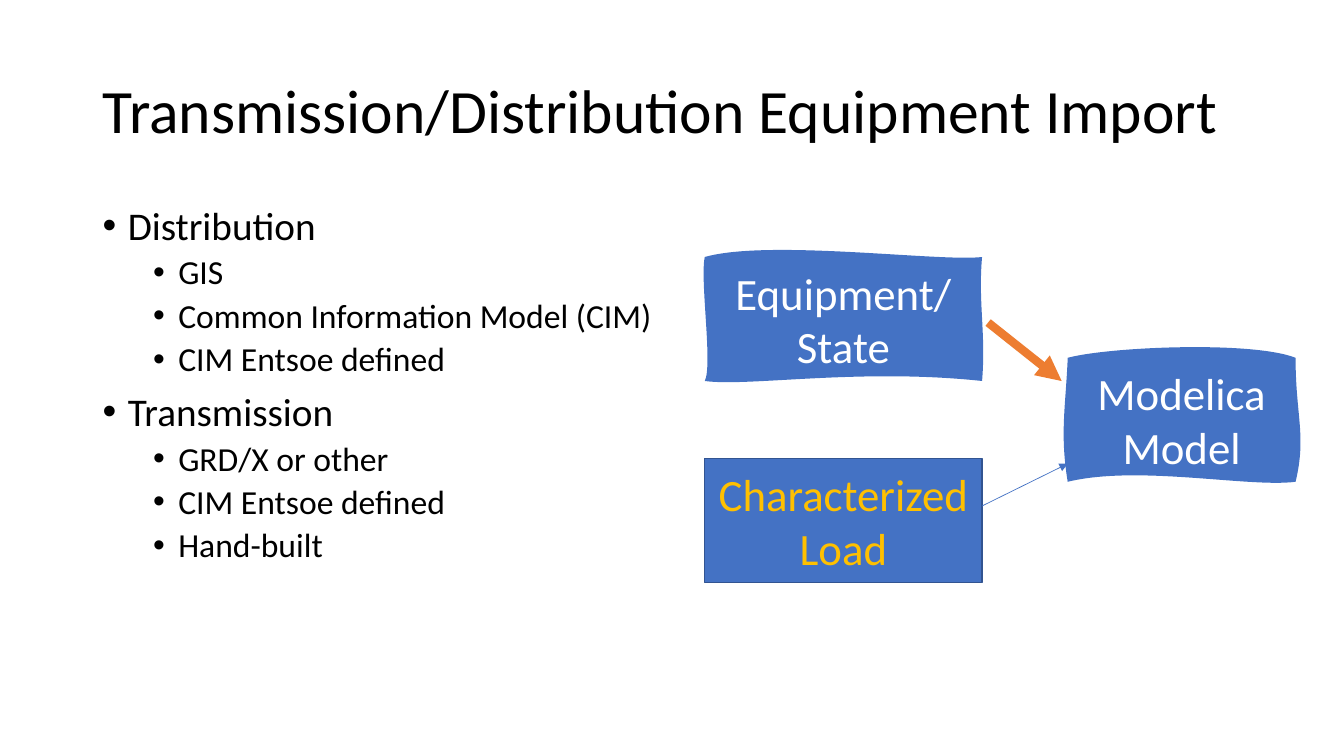
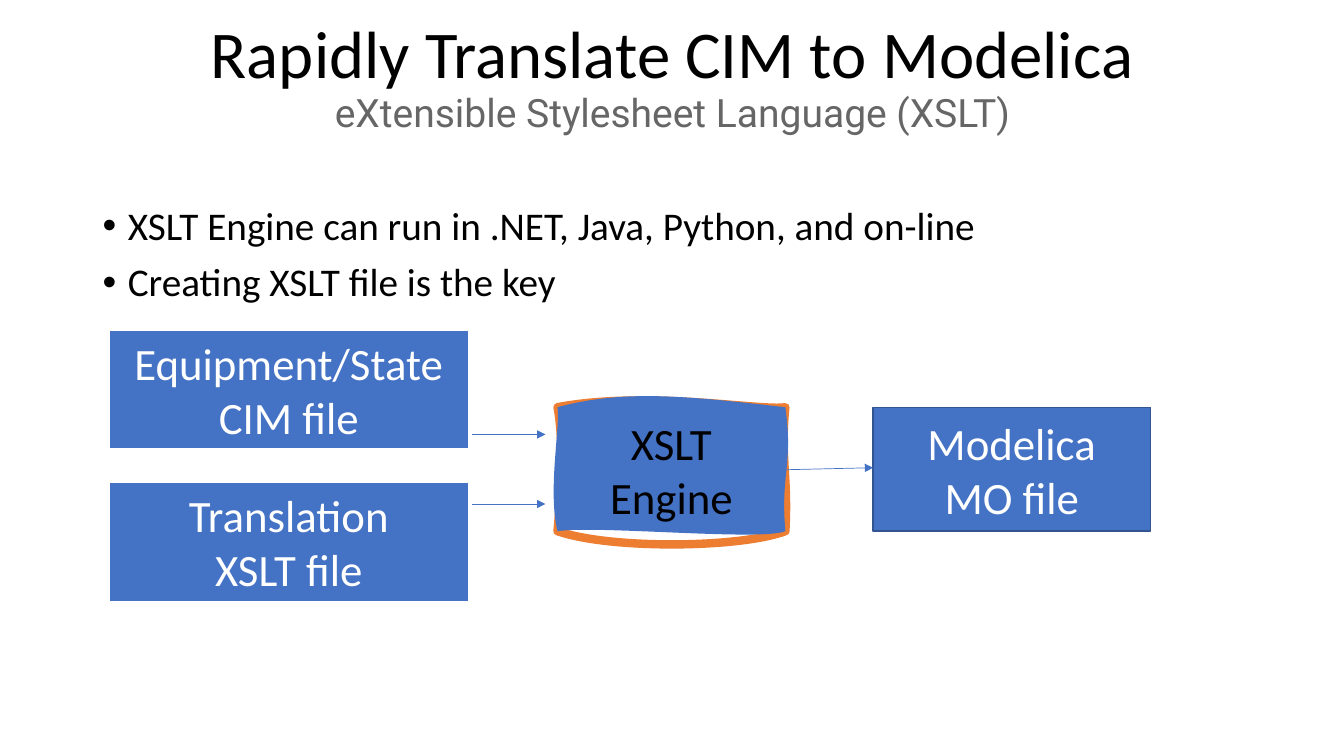
from lxml import etree
from pptx import Presentation
from pptx.dml.color import RGBColor
from pptx.enum.shapes import MSO_CONNECTOR, MSO_SHAPE
from pptx.enum.text import MSO_ANCHOR, MSO_AUTO_SIZE, PP_ALIGN
from pptx.oxml.ns import qn
from pptx.util import Inches, Pt

RECTANGLE = MSO_SHAPE.RECTANGLE
STRAIGHT = MSO_CONNECTOR.STRAIGHT
LEFT, CENTER = PP_ALIGN.LEFT, PP_ALIGN.CENTER
TOP, MIDDLE = MSO_ANCHOR.TOP, MSO_ANCHOR.MIDDLE
NO_AUTOFIT = MSO_AUTO_SIZE.NONE

# Shared colours and styles
BLACK, WHITE, GRAY = "000000", "FFFFFF", "666666"
BLUE, NAVY, ORANGE, GOLD = "4472C4", "325491", "ED7D31", "FFC000"
TITLE_FORMAT = {"name": "Calibri", "size": Pt(44), "color": BLACK}
LARGE_TITLE = {"name": "Calibri", "size": Pt(47.7), "color": BLACK}
SUBTITLE = {"name": "Roboto", "size": Pt(27.9), "color": GRAY}
BULLET_LEVELS = [
    {"size": Pt(28), "before": Pt(10), "indent": 0.25},
    {"size": Pt(24), "before": Pt(5), "indent": 0.75},
]
BOX_TEXT_SIZE = Pt(32)
BOX_HEIGHT = 1.23
CONTENT_LEFT, CONTENT_WIDTH = 0.92, 11.5

# Control points of the hand-drawn edges: top, right, bottom, left
EQUIPMENT_OUTLINE = [
    [(8.32, 2.65), (9.43, 2.69)], [(9.68, 2.91), (9.75, 3.22)],
    [(8.74, 3.67), (7.92, 3.95)], [(6.94, 3.35), (7.07, 2.79)]]
EQUIPMENT_FILL = [
    [(7.62, 2.37), (9.33, 2.6)], [(9.7, 3), (9.78, 3.31)],
    [(8.52, 3.65), (7.42, 3.84)], [(7.07, 3.62), (6.94, 2.77)]]
MODEL_OUTLINE = [
    [(11.49, 3.52), (12.53, 3.71)], [(12.83, 3.91), (12.84, 4.46)],
    [(12.16, 4.63), (10.91, 4.63)], [(10.63, 4.26), (10.62, 3.73)]]
MODEL_FILL = [
    [(11, 3.44), (12.42, 3.38)], [(12.85, 4.13), (12.96, 4.32)],
    [(12.39, 4.84), (11.29, 4.61)], [(10.51, 4.3), (10.57, 4.03)]]
ENGINE_OUTLINE = [
    [(6.43, 3.87), (7.56, 4.08)], [(7.74, 4.53), (7.82, 4.73)],
    [(7.33, 5.44), (6.05, 5.45)], [(5.57, 4.82), (5.59, 4.35)]]
ENGINE_FILL = [
    [(6.19, 3.86), (6.82, 3.93)], [(7.87, 4.62), (7.74, 4.69)],
    [(7.55, 5.37), (5.91, 5.21)], [(5.43, 4.87), (5.56, 4.22)]]


def rgb(value):
    return RGBColor.from_string(value)


def format_run(run, values):
    for name, value in values.items():
        if name == "color":
            run.font.color.rgb = rgb(value)
        else:
            setattr(run.font, name, value)


def format_frame(frame, anchor):
    values = {"word_wrap": True, "auto_size": NO_AUTOFIT, "vertical_anchor": anchor}
    for name, value in values.items():
        setattr(frame, name, value)


# Titles and bullet lists
def add_titled_slide(deck, text, formats, align=LEFT, top=0.4, anchor=MIDDLE):
    slide = deck.slides.add_slide(deck.slide_layouts[5])
    title = slide.shapes.title
    title.left, title.top = Inches(CONTENT_LEFT), Inches(top)
    title.width, title.height = Inches(CONTENT_WIDTH), Inches(1.85 - top)
    format_frame(title.text_frame, anchor)
    paragraph = title.text_frame.paragraphs[0]
    paragraph.text = text
    paragraph.alignment = align
    paragraph.line_spacing = 0.9
    for run, values in zip(paragraph.runs, formats):
        format_run(run, values)
    return slide


def add_bullets(slide, items):
    body = slide.shapes.add_textbox(
        Inches(CONTENT_LEFT), Inches(2), Inches(CONTENT_WIDTH), Inches(4.76))
    frame = body.text_frame
    format_frame(frame, TOP)
    for index, (level, text) in enumerate(items):
        paragraph = frame.add_paragraph() if index else frame.paragraphs[0]
        style = BULLET_LEVELS[level]
        paragraph.text = text
        paragraph.level = level
        paragraph.line_spacing = 0.9
        paragraph.space_before = style["before"]
        format_run(paragraph.runs[0],
                   {"name": "Calibri", "size": style["size"], "color": BLACK})
        properties = paragraph._p.get_or_add_pPr()
        properties.set("marL", str(Inches(style["indent"])))
        properties.set("indent", str(Inches(-0.25)))
        etree.SubElement(properties, qn("a:buFont"), typeface="Arial")
        etree.SubElement(properties, qn("a:buChar"), char="•")


# Diagram boxes
def format_box(shape, text, text_color, line_color, line_width):
    shape.shadow.inherit = False
    shape.fill.solid()
    shape.fill.fore_color.rgb = rgb(BLUE)
    shape.line.color.rgb = rgb(line_color)
    shape.line.width = Pt(line_width)
    frame = shape.text_frame
    format_frame(frame, MIDDLE)
    frame.text = text
    for paragraph in frame.paragraphs:
        paragraph.alignment = CENTER
        for run in paragraph.runs:
            format_run(run, {"name": "Calibri", "size": BOX_TEXT_SIZE,
                             "color": text_color})


def add_box(slide, left, top, width, text, text_color=WHITE,
            line_color=NAVY, line_width=1):
    box = slide.shapes.add_shape(
        RECTANGLE, Inches(left), Inches(top), Inches(width), Inches(BOX_HEIGHT))
    format_box(box, text, text_color, line_color, line_width)


def add_curves(path, corners, controls):
    """Join the corners, clockwise from top left, with Bezier edges."""
    left, top = corners[0]

    def add_step(tag, points):
        step = etree.SubElement(path, qn(tag))
        for x, y in points:
            etree.SubElement(step, qn("a:pt"), x=str(Inches(x) - Inches(left)),
                             y=str(Inches(y) - Inches(top)))

    add_step("a:moveTo", corners[:1])
    for pair, corner in zip(controls, corners[1:] + corners[:1]):
        add_step("a:cubicBezTo", pair + [corner])
    etree.SubElement(path, qn("a:close"))


def add_sketched_box(slide, left, top, width, outline, filling, text,
                     text_color=WHITE, line_color=WHITE, line_width=6):
    right, bottom = left + width, top + BOX_HEIGHT
    corners = [(left, top), (right, top), (right, bottom), (left, bottom)]
    points = [(Inches(x), Inches(y)) for x, y in corners]
    builder = slide.shapes.build_freeform(*points[0])
    builder.add_line_segments(points[1:], close=True)
    box = builder.convert_to_shape()

    # The outline and the fill follow separate curved paths
    path_list = box._element.find(".//" + qn("a:pathLst"))
    for path in list(path_list):
        path_list.remove(path)
    size = {"w": str(box.width), "h": str(box.height)}
    for controls, extra in ((outline, {"fill": "none"}), (filling, {"stroke": "0"})):
        path = etree.SubElement(path_list, qn("a:path"), **size, **extra)
        add_curves(path, corners, controls)
    format_box(box, text, text_color, line_color, line_width)


def add_arrow(slide, start, end, color=BLUE, width=0.5):
    arrow = slide.shapes.add_connector(
        STRAIGHT, *(Inches(value) for value in start + end))
    arrow.line.color.rgb = rgb(color)
    arrow.line.width = Pt(width)
    etree.SubElement(arrow.line._get_or_add_ln(), qn("a:tailEnd"), type="triangle")
    etree.SubElement(arrow._element.spPr, qn("a:effectLst"))


# Slides
def build_import_slide(deck):
    slide = add_titled_slide(
        deck, "Transmission/Distribution Equipment Import", [TITLE_FORMAT])
    add_bullets(slide, [
        (0, "Distribution"),
        (1, "GIS"),
        (1, "Common Information Model (CIM)"),
        (1, "CIM Entsoe defined"),
        (0, "Transmission"),
        (1, "GRD/X or other"),
        (1, "CIM Entsoe defined"),
        (1, "Hand-built"),
    ])
    add_sketched_box(slide, 6.99, 2.55, 2.75, EQUIPMENT_OUTLINE, EQUIPMENT_FILL,
                     "Equipment/\vState", line_width=4.5)
    add_box(slide, 6.99, 4.55, 2.75, "Characterized\nLoad", text_color=GOLD)
    add_sketched_box(slide, 10.59, 3.55, 2.26, MODEL_OUTLINE, MODEL_FILL,
                     "Modelica\nModel")
    add_arrow(slide, (9.8, 3.2), (10.53, 3.78), ORANGE, 6)
    add_arrow(slide, (9.74, 5.02), (10.59, 4.6))


def build_translation_slide(deck):
    slide = add_titled_slide(
        deck, "Rapidly Translate CIM to Modelica\veXtensible Stylesheet Language (XSLT)",
        [LARGE_TITLE, SUBTITLE], align=CENTER, top=0.2, anchor=TOP)
    slide.shapes.title.text_frame.margin_top = Inches(0.01)
    add_bullets(slide, [
        (0, "XSLT Engine can run in .NET, Java, Python, and on-line"),
        (0, "Creating XSLT file is the key"),
    ])
    inputs = [(3.25, 4.31, "Equipment/State\vCIM file"),
              (4.76, 5, "Translation\vXSLT file")]
    for top, arrow_y, text in inputs:
        add_box(slide, 1.06, top, 3.61, text, line_color=WHITE, line_width=4.5)
        add_arrow(slide, (4.68, arrow_y), (5.41, arrow_y))
    add_box(slide, 8.66, 4.04, 2.75, "Modelica\nMO file")
    add_sketched_box(slide, 5.53, 4.04, 2.26, ENGINE_OUTLINE, ENGINE_FILL,
                     "XSLT\nEngine", text_color=BLACK, line_color=ORANGE)
    add_arrow(slide, (7.8, 4.66), (8.66, 4.64))


def main():
    deck = Presentation()
    deck.slide_width, deck.slide_height = Inches(13.33), Inches(7.5)
    build_import_slide(deck)
    build_translation_slide(deck)
    deck.save("out.pptx")


main()
